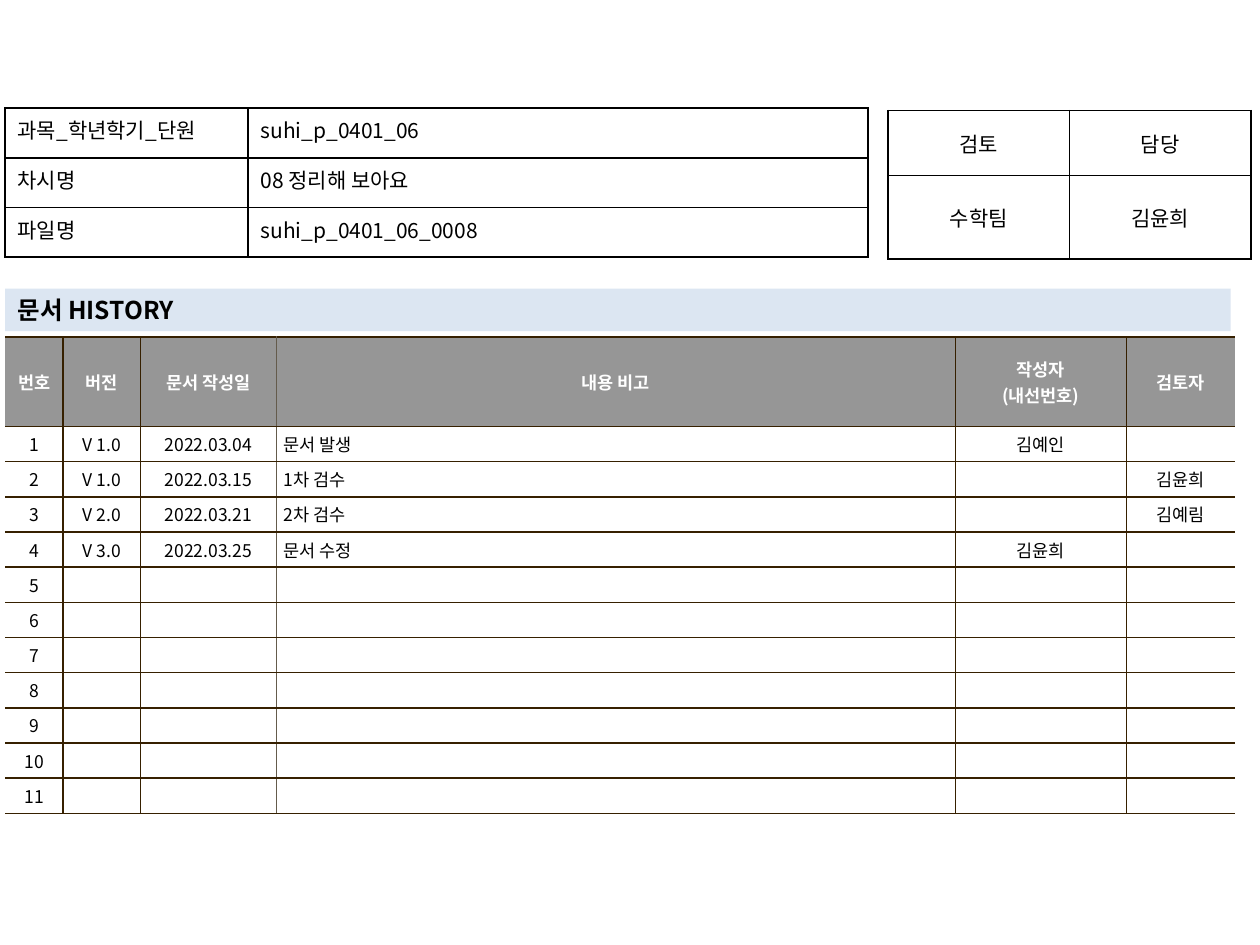
import pptx
import pptx.dml.color
import pptx.enum.shapes
import pptx.enum.text
import pptx.oxml.ns
import pptx.util
from lxml import etree

Pt = pptx.util.Pt
ALIGN = pptx.enum.text.PP_ALIGN
ANCHOR = pptx.enum.text.MSO_ANCHOR
qn = pptx.oxml.ns.qn

FONT = "Noto Sans CJK KR"
BLACK, WHITE, GRAY, PALE_BLUE = "000000", "FFFFFF", "969696", "DCE6F2"
BROWN, LIGHT_BROWN = "362000", "645B4C"

TITLE = "문서 HISTORY"
FILE_INFO = [
    ("과목_학년학기_단원", "suhi_p_0401_06"),
    ("차시명", "08 정리해 보아요"),
    ("파일명", "suhi_p_0401_06_0008"),
]
REVIEW = [("검토", "담당"), ("수학팀", "김윤희")]
HISTORY_HEADER = ("번호", "버전", "문서 작성일", "내용 비고", "작성자\n(내선번호)", "검토자")
HISTORY_ENTRIES = [
    ("V 1.0", "2022.03.04", "문서 발생", "김예인", ""),
    ("V 1.0", "2022.03.15", "1차 검수", "", "김윤희"),
    ("V 2.0", "2022.03.21", "2차 검수", "", "김예림"),
    ("V 3.0", "2022.03.25", "문서 수정", "김윤희", ""),
]
HISTORY_ROWS = 11
NOTE_COLUMN = 3


def rgb(color):
    return pptx.dml.color.RGBColor.from_string(color)


def format_text(text_frame, size, color, bold=False, align=ALIGN.LEFT):
    for paragraph in text_frame.paragraphs:
        paragraph.alignment = align
        for run in paragraph.runs:
            run.font.size = Pt(size)
            run.font.bold = bold
            run.font.color.rgb = rgb(color)
            run.font.name = FONT
            etree.SubElement(run.font._element, qn("a:ea"), typeface=FONT)
        if not paragraph.runs:
            # Keeps empty cells from growing to the default text size
            etree.SubElement(paragraph._p, qn("a:endParaRPr"), sz=str(size * 100))


def set_borders(cell, colors):
    """Draw 1 pt borders; colors run left, right, top, bottom, None for no line."""
    properties = cell._tc.get_or_add_tcPr()
    for side, color in zip("LRTB", colors):
        line = etree.SubElement(properties, qn("a:ln" + side), w=str(Pt(1)))
        if color is None:
            etree.SubElement(line, qn("a:noFill"))
        else:
            fill = etree.SubElement(line, qn("a:solidFill"))
            etree.SubElement(fill, qn("a:srgbClr"), val=color)


def add_plain_table(slide, left, top, widths, heights, rows):
    """Add an unstyled table and return it."""
    table = slide.shapes.add_table(
        len(heights), len(widths), Pt(left), Pt(top), Pt(sum(widths)), Pt(sum(heights))
    ).table
    table.first_row = table.horz_banding = False
    for column, width in zip(table.columns, widths):
        column.width = Pt(width)
    for row, height, texts in zip(table.rows, heights, rows):
        row.height = Pt(height)
        for cell, text in zip(row.cells, texts):
            cell.text_frame.text = text
    return table


def add_form(slide, left, top, widths, heights, rows, aligns, anchor):
    table = add_plain_table(slide, left, top, widths, heights, rows)
    for row in table.rows:
        for cell, align in zip(row.cells, aligns):
            set_borders(cell, [BLACK] * 4)
            cell.fill.background()
            cell.vertical_anchor = anchor
            format_text(cell.text_frame, 12, BLACK, align=align)


def add_history(slide):
    blank = ("",) * len(HISTORY_ENTRIES[0])
    entries = HISTORY_ENTRIES + [blank] * (HISTORY_ROWS - len(HISTORY_ENTRIES))
    rows = [HISTORY_HEADER]
    rows += [(str(number), *entry) for number, entry in enumerate(entries, 1)]
    widths = [33.2, 44.1, 77.8, 388, 97.7, 62.4]
    heights = [51] + [20.1] * HISTORY_ROWS
    table = add_plain_table(slide, 2.9, 192.7, widths, heights, rows)

    verticals = [None] + [BROWN] * (len(widths) - 1) + [None]
    verticals[NOTE_COLUMN] = LIGHT_BROWN
    for row_index, row in enumerate(table.rows):
        header = row_index == 0
        for column, cell in enumerate(row.cells):
            set_borders(cell, (verticals[column], verticals[column + 1], BROWN, BROWN))
            cell.fill.solid()
            cell.fill.fore_color.rgb = rgb(GRAY if header else WHITE)
            cell.vertical_anchor = ANCHOR.MIDDLE
            cell.margin_left = cell.margin_right = Pt(4.3)
            cell.margin_top = cell.margin_bottom = Pt(2.7)
            note = column == NOTE_COLUMN and not header
            format_text(cell.text_frame, 10, WHITE if header else BLACK, header,
                        ALIGN.LEFT if note else ALIGN.CENTER)


def add_title_bar(slide):
    bar = slide.shapes.add_shape(
        pptx.enum.shapes.MSO_SHAPE.RECTANGLE, Pt(2.9), Pt(165), Pt(700.3), Pt(24.2))
    bar.shadow.inherit = False
    bar.fill.solid()
    bar.fill.fore_color.rgb = rgb(PALE_BLUE)
    bar.line.fill.background()
    bar.text_frame.text = TITLE
    bar.text_frame.word_wrap = True
    bar.text_frame.vertical_anchor = ANCHOR.MIDDLE
    format_text(bar.text_frame, 14, BLACK, bold=True)


def main():
    presentation = pptx.Presentation()
    presentation.slide_width, presentation.slide_height = Pt(720), Pt(540)
    slide = presentation.slides.add_slide(presentation.slide_layouts[6])
    add_history(slide)
    add_form(slide, 507.5, 63.2, [103.7] * 2, [37.2, 47.7], REVIEW,
             [ALIGN.CENTER] * 2, ANCHOR.MIDDLE)
    add_title_bar(slide)
    add_form(slide, 2.9, 61.8, [138.8, 354.4], [28.4] * 3, FILE_INFO,
             [ALIGN.JUSTIFY, ALIGN.LEFT], ANCHOR.TOP)
    presentation.save("out.pptx")


if __name__ == "__main__":
    main()
